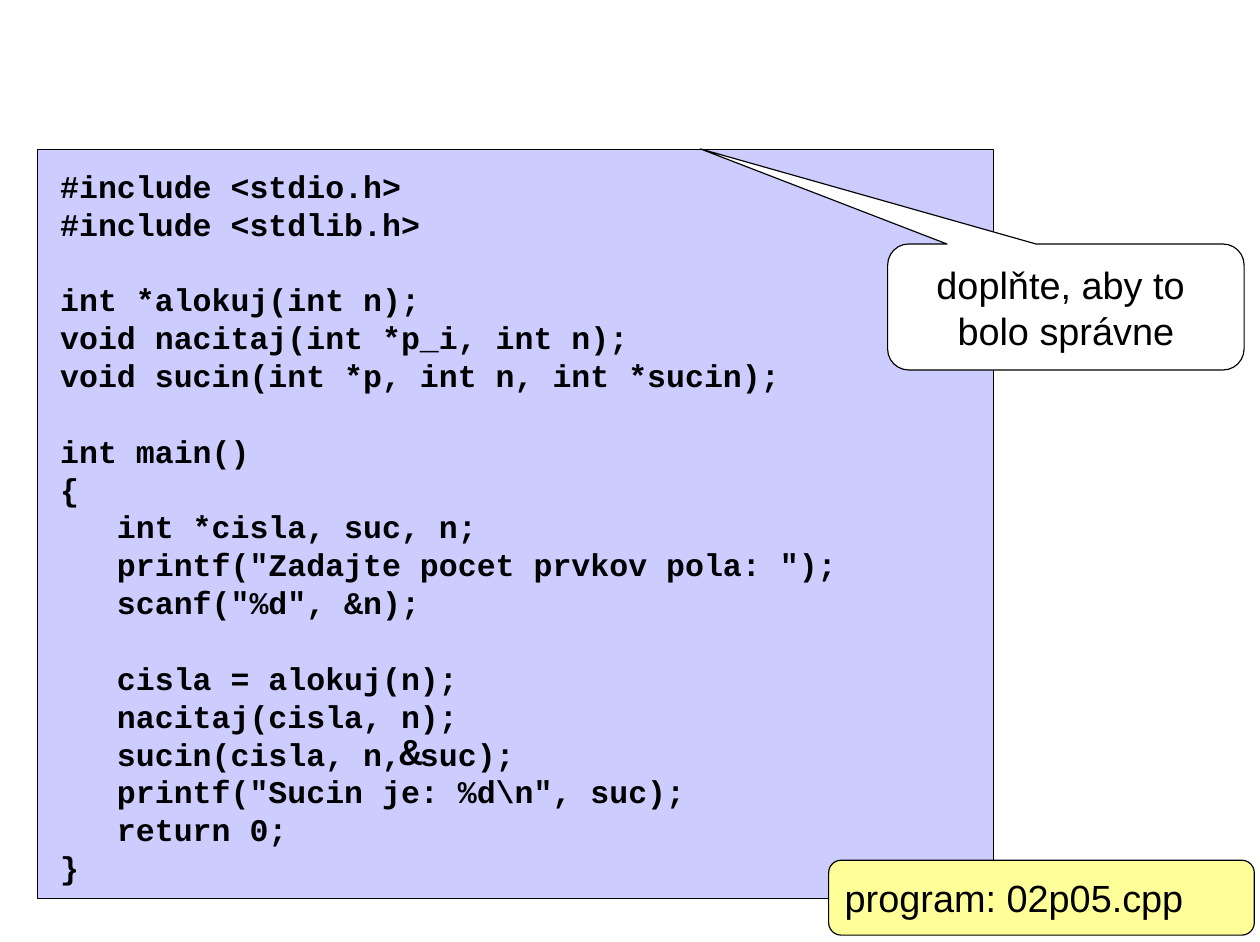
import pptx
import pptx.util
import pptx.dml.color
import pptx.enum.shapes
import pptx.enum.text
from dataclasses import dataclass

Inches, Pt = pptx.util.Inches, pptx.util.Pt
SHAPE = pptx.enum.shapes.MSO_SHAPE
ALIGN = pptx.enum.text.PP_ALIGN
ANCHOR = pptx.enum.text.MSO_ANCHOR

# Content
CODE = r'''#include <stdio.h>
#include <stdlib.h>

int *alokuj(int n);
void nacitaj(int *p_i, int n);
void sucin(int *p, int n, int *sucin);

int main()
{
   int *cisla, suc, n;
   printf("Zadajte pocet prvkov pola: ");
   scanf("%d", &n);

   cisla = alokuj(n);
   nacitaj(cisla, n);
   sucin(cisla, n, suc);
   printf("Sucin je: %d\n", suc);
   return 0;
}'''.split("\n")
MISSING_SIGN = ["&"]
TASK = ["doplňte, aby to ", "bolo správne"]
PROGRAM = ["program: 02p05.cpp"]


@dataclass(frozen=True)
class Theme:
    ink: str = "000000"
    code_fill: str = "CCCCFF"
    task_fill: str = "FFFFFF"
    program_fill: str = "FFFF99"
    code_font: str = "Courier New"
    note_font: str = "Arial"
    code_size: int = 20
    note_size: int = 24
    code_leading: float = 24
    note_leading: float = 29
    outline: float = 0.75
    inset_x: float = 0.11
    inset_y: float = 0.06


THEME = Theme()


def color(value):
    return pptx.dml.color.RGBColor.from_string(value)


def add_panel(slide, kind, place, fill, adjustments=()):
    panel = slide.shapes.add_shape(kind, *map(Inches, place))
    panel.shadow.inherit = False
    panel.fill.solid()
    panel.fill.fore_color.rgb = color(fill)
    panel.line.color.rgb = color(THEME.ink)
    panel.line.width = Pt(THEME.outline)
    for index, value in enumerate(adjustments):
        panel.adjustments[index] = value
    return panel


def write(shape, lines, font, size, leading, bold=False,
          align=ALIGN.LEFT, anchor=ANCHOR.TOP, wrap=True):
    frame = shape.text_frame
    frame.word_wrap = wrap
    frame.vertical_anchor = anchor
    frame.margin_left = frame.margin_right = Inches(THEME.inset_x)
    frame.margin_top = frame.margin_bottom = Inches(THEME.inset_y)
    for index, line in enumerate(lines):
        paragraph = frame.paragraphs[0] if index == 0 else frame.add_paragraph()
        paragraph.alignment = align
        paragraph.line_spacing = Pt(leading)
        if line:
            run = paragraph.add_run()
            run.text = line
            run.font.name = font
            run.font.size = Pt(size)
            run.font.bold = bold
            run.font.color.rgb = color(THEME.ink)


def main():
    deck = pptx.Presentation()
    deck.slide_width, deck.slide_height = Inches(11.1), Inches(8.3)
    slide = deck.slides.add_slide(deck.slide_layouts[6])

    # Code listing on its panel
    add_panel(slide, SHAPE.RECTANGLE, (0.33, 1.32, 8.42, 6.6), THEME.code_fill)
    listing = slide.shapes.add_textbox(*map(Inches, (0.42, 1.41, 8.51, 6.51)))
    write(listing, CODE, THEME.code_font, THEME.code_size,
          THEME.code_leading, bold=True)

    # Sign that completes the call of sucin
    sign = slide.shapes.add_textbox(*map(Inches, (3.41, 6.35, 0.43, 0.52)))
    write(sign, MISSING_SIGN, THEME.code_font, THEME.note_size,
          THEME.note_leading, bold=True, wrap=False)

    # Task callout
    task = add_panel(slide, SHAPE.ROUNDED_RECTANGULAR_CALLOUT,
                     (7.82, 2.15, 3.14, 1.11), THEME.task_fill,
                     (-1.025, -1.255, 0.167))
    write(task, TASK, THEME.note_font, THEME.note_size, THEME.note_leading,
          align=ALIGN.CENTER, anchor=ANCHOR.MIDDLE)

    # Program file label
    program = add_panel(slide, SHAPE.ROUNDED_RECTANGLE,
                        (7.3, 7.58, 3.75, 0.66), THEME.program_fill, (0.167,))
    write(program, PROGRAM, THEME.note_font, THEME.note_size,
          THEME.note_leading, anchor=ANCHOR.MIDDLE)

    deck.save("out.pptx")


if __name__ == "__main__":
    main()
